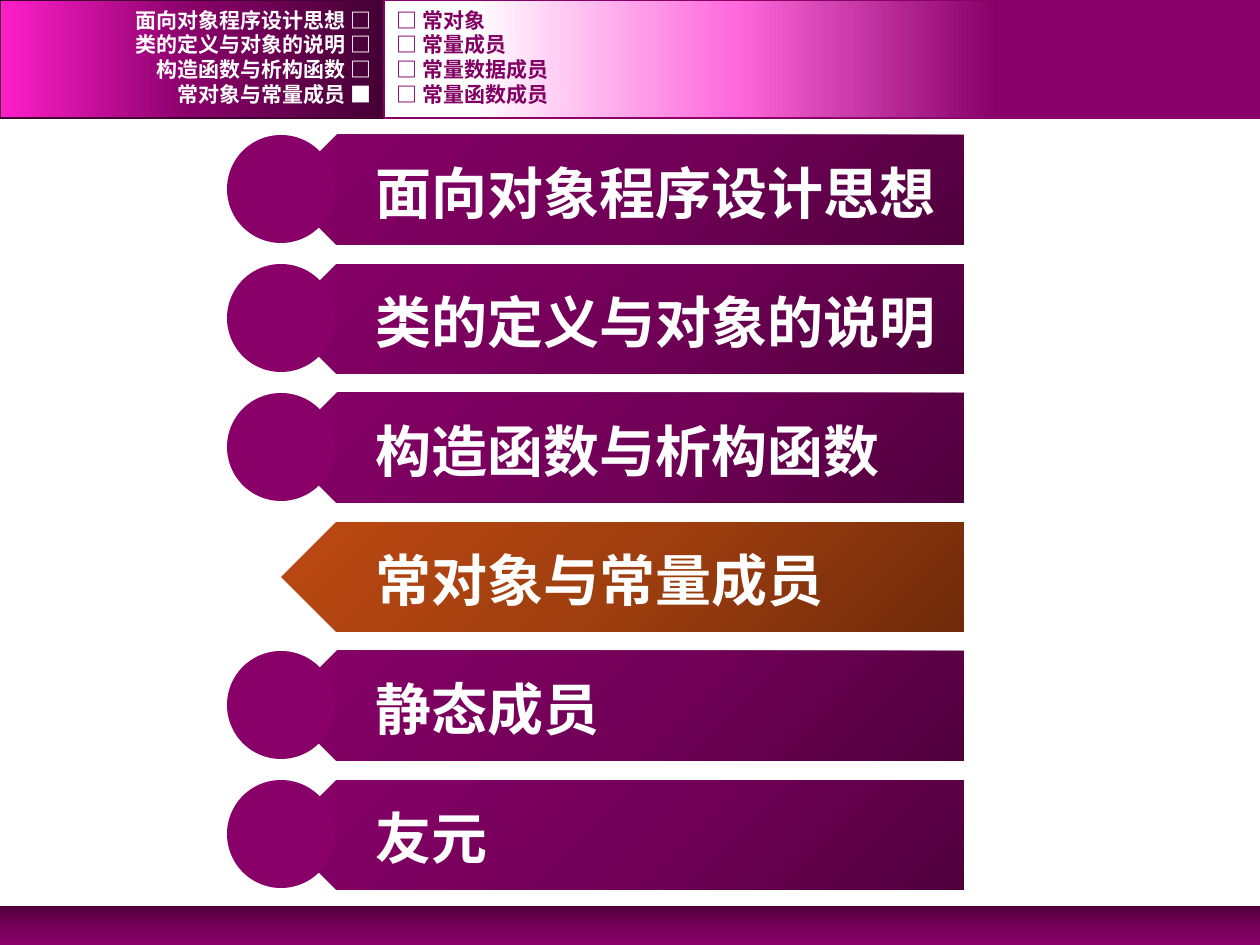
from copy import deepcopy
from dataclasses import dataclass

from pptx import Presentation
from pptx.dml.color import RGBColor
from pptx.enum.shapes import MSO_SHAPE
from pptx.enum.text import MSO_ANCHOR, PP_ALIGN
from pptx.util import Pt

EMU_PER_PIXEL = 914400 / 126


@dataclass(frozen=True)
class Theme:
    font: str = "Courier New"
    title_size: int = 32
    menu_size: int = 12
    white: str = "FFFFFF"
    menu_text: str = "820064"
    purple: str = "880068"
    dark: str = "440034"
    purple_stops: tuple = ((0, "51003E"), (50, "730058"), (100, "880068"))
    orange_stops: tuple = ((0, "702B0B"), (50, "9F3E0F"), (100, "BD4912"))
    left_stops: tuple = ((0, "440034"), (50, "880068"), (100, "FF1FCA"))
    right_stops: tuple = ((30, "880068"), (60, "FF69DC"), (90, "FFFFFF"))


THEME = Theme()
CHAPTERS = ["面向对象程序设计思想", "类的定义与对象的说明", "构造函数与析构函数",
            "常对象与常量成员", "静态成员", "友元"]
CURRENT = 3
SECTIONS = ["常对象", "常量成员", "常量数据成员", "常量函数成员"]


def px(*lengths):
    return [round(length * EMU_PER_PIXEL) for length in lengths]


def add_panel(slide, kind, box, line=None):
    shape = slide.shapes.add_shape(kind, *px(*box))
    shape.shadow.inherit = False
    if line:
        shape.line.color.rgb = RGBColor.from_string(line)
        shape.line.width = Pt(1)
    else:
        shape.line.fill.background()
    return shape


def fill_gradient(shape, stops, angle):
    """Fill with three (percent, colour) stops; the angle runs counterclockwise."""
    fill = shape.fill
    fill.gradient()
    fill.gradient_angle = angle
    stop_list = shape._element.spPr.gradFill.gsLst
    stop_list.append(deepcopy(stop_list[0]))
    for stop, (percent, color) in zip(fill.gradient_stops, stops):
        stop.position = percent / 100
        stop.color.rgb = RGBColor.from_string(color)


def add_label(slide, box, text, size, color, align=PP_ALIGN.LEFT):
    text_box = slide.shapes.add_textbox(*px(*box))
    frame = text_box.text_frame
    frame.word_wrap = True
    frame.vertical_anchor = MSO_ANCHOR.MIDDLE
    frame.margin_top = frame.margin_bottom = 0
    frame.text = text
    paragraph = frame.paragraphs[0]
    paragraph.alignment = align
    font = paragraph.runs[0].font
    font.name, font.size, font.bold = THEME.font, Pt(size), True
    font.color.rgb = RGBColor.from_string(color)


def add_menu(slide, box, stops, line, entries, color, align):
    panel = add_panel(slide, MSO_SHAPE.RECTANGLE, box, line)
    fill_gradient(panel, stops, 180)
    left, top, width, height = box
    for index, entry in enumerate(entries):
        entry_top = top + 8 + index * 74 // 3
        add_label(slide, (left, entry_top, width, 25), entry,
                  THEME.menu_size, color, align)


def add_chapter(slide, box, title, current):
    left, top, width, height = box
    radius = height // 2
    bar = add_panel(slide, MSO_SHAPE.PENTAGON,
                    (left + radius, top, width - radius, height))
    bar._element.spPr.xfrm.set("flipH", "1")
    fill_gradient(bar, THEME.orange_stops if current else THEME.purple_stops, 45)
    if not current:
        circle = add_panel(slide, MSO_SHAPE.OVAL, (left, top, 108, 108))
        circle.fill.solid()
        circle.fill.fore_color.rgb = RGBColor.from_string(THEME.purple)
    add_label(slide, (left + 136, top + 17, 595, 81), title,
              THEME.title_size, THEME.white)


def add_chapter_list(slide, box, row_height):
    left, top, width, height = box
    pitch = (height - row_height) // (len(CHAPTERS) - 1)
    for index, title in enumerate(CHAPTERS):
        add_chapter(slide, (left, top + index * pitch, width, row_height),
                    title, index == CURRENT)


def add_footer(slide, box):
    fill_gradient(add_panel(slide, MSO_SHAPE.RECTANGLE, box),
                  THEME.purple_stops, 270)


def main():
    presentation = Presentation()
    presentation.slide_width, presentation.slide_height = px(1260, 945)
    slide = presentation.slides.add_slide(presentation.slide_layouts[6])
    add_footer(slide, (0, 906, 1260, 39))
    chapter_entries = [f"{title} {'■' if index == CURRENT else '□'}"
                       for index, title in enumerate(CHAPTERS[:CURRENT + 1])]
    add_menu(slide, (0, 0, 384, 118), THEME.left_stops, THEME.dark,
             chapter_entries, THEME.white, PP_ALIGN.RIGHT)
    add_menu(slide, (384, 0, 876, 118), THEME.right_stops, THEME.purple,
             [f"□ {section}" for section in SECTIONS],
             THEME.menu_text, PP_ALIGN.LEFT)
    add_chapter_list(slide, (227, 135, 737, 755), 110)
    presentation.save("out.pptx")


if __name__ == "__main__":
    main()
